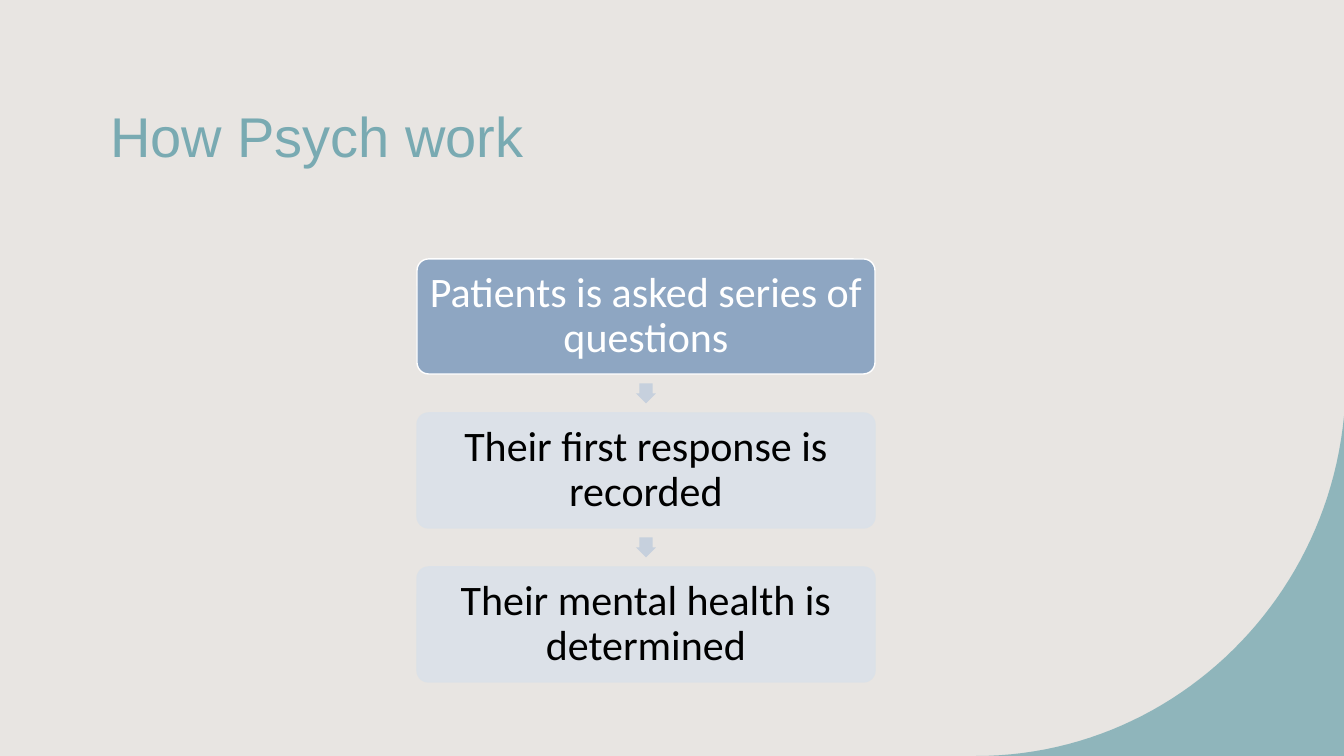
import pptx
import pptx.dml.color
import pptx.enum.shapes
import pptx.enum.text
import pptx.oxml
import pptx.oxml.ns
import pptx.util

SHAPES = pptx.enum.shapes.MSO_SHAPE
ALIGN = pptx.enum.text.PP_ALIGN
MIDDLE = pptx.enum.text.MSO_ANCHOR.MIDDLE

TITLE = "How Psych work"
# wording, fill, outline, text colour, opacity in percent
STEPS = [
    ("Patients is asked series of questions", "8EA6C2", "FFFFFF", "FFFFFF", 100),
    ("Their first response is recorded", "DBE1E9", "DBE1E9", "000000", 90),
    ("Their mental health is determined", "DBE1E9", "DBE1E9", "000000", 90),
]
BACKGROUND, TEAL, ARROW = "E8E5E2", "79AAB2", "C6D0DD"

SLIDE_W, SLIDE_H = 1344, 756
STEP_LEFT, STEP_TOP, STEP_W, STEP_H = 417, 259, 458, 115
STEP_PITCH, ARROW_SIZE = 154, 20
CORNER_CURVE = [(976, 756), (1167, 756), (1326, 607), (1344, 416)]
CURVE_PARTS = 48
EMU_PER_PX = 914400 / 100.8


def px(length):
    return pptx.util.Emu(round(length * EMU_PER_PX))


def rgb(colour):
    return pptx.dml.color.RGBColor.from_string(colour)


def paint(filling, colour, opacity=100):
    filling.solid()
    filling.fore_color.rgb = rgb(colour)
    if opacity < 100:
        solid = filling._xPr.find(pptx.oxml.ns.qn("a:solidFill"))
        alpha = pptx.oxml.parse_xml(
            f'<a:alpha {pptx.oxml.ns.nsdecls("a")} val="{opacity * 1000}"/>')
        solid[0].append(alpha)


def style_text(frame, text, font_name, size, colour, align):
    frame.text = text
    frame.word_wrap = True
    frame.vertical_anchor = MIDDLE
    paragraph = frame.paragraphs[0]
    paragraph.alignment = align
    paragraph.line_spacing = 0.9
    paragraph.font.name = font_name
    paragraph.font.size = pptx.util.Pt(size)
    paragraph.font.color.rgb = rgb(colour)


def curve_point(t):
    """Point of the cubic Bezier corner curve at t from 0 to 1."""
    weights = ((1 - t) ** 3, 3 * t * (1 - t) ** 2, 3 * t * t * (1 - t), t ** 3)
    return tuple(sum(w * point[axis] for w, point in zip(weights, CORNER_CURVE))
                 for axis in (0, 1))


def add_corner(slide):
    outline = [curve_point(i / CURVE_PARTS) for i in range(CURVE_PARTS + 1)]
    outline.append((SLIDE_W, SLIDE_H))
    builder = slide.shapes.build_freeform(*map(px, outline[0]), scale=1.0)
    builder.add_line_segments([(px(x), px(y)) for x, y in outline[1:]], close=True)
    corner = builder.convert_to_shape()
    corner.shadow.inherit = False
    paint(corner.fill, TEAL, 80)
    corner.line.fill.background()


def add_step(slide, top, text, fill, outline, text_colour, opacity):
    step = slide.shapes.add_shape(
        SHAPES.ROUNDED_RECTANGLE, px(STEP_LEFT), px(top), px(STEP_W), px(STEP_H))
    step.adjustments[0] = 0.1
    step.shadow.inherit = False
    paint(step.fill, fill, opacity)
    paint(step.line.fill, outline, opacity)
    step.line.width = pptx.util.Pt(1)
    frame = step.text_frame
    frame.margin_left = frame.margin_right = px(7)
    frame.margin_top = frame.margin_bottom = px(7)
    style_text(frame, text, "Calibri", 30, text_colour, ALIGN.CENTER)


def add_arrow(slide, step_top):
    left = STEP_LEFT + (STEP_W - ARROW_SIZE) / 2
    top = step_top - (STEP_PITCH - STEP_H + ARROW_SIZE) / 2
    arrow = slide.shapes.add_shape(
        SHAPES.RIGHT_ARROW, px(left), px(top), px(ARROW_SIZE), px(ARROW_SIZE))
    arrow.rotation = 90
    arrow.adjustments[0] = 0.67
    arrow.adjustments[1] = 0.5
    arrow.shadow.inherit = False
    paint(arrow.fill, ARROW)
    arrow.line.fill.background()


def main():
    deck = pptx.Presentation()
    deck.slide_width, deck.slide_height = px(SLIDE_W), px(SLIDE_H)
    slide = deck.slides.add_slide(deck.slide_layouts[5])
    paint(slide.background.fill, BACKGROUND)
    add_corner(slide)

    title = slide.shapes.title
    title.left, title.top, title.width, title.height = map(px, (100, 66, 1093, 146))
    style_text(title.text_frame, TITLE, "Arial", 40, TEAL, ALIGN.LEFT)

    for i, step in enumerate(STEPS):
        top = STEP_TOP + i * STEP_PITCH
        if i:
            add_arrow(slide, top)
        add_step(slide, top, *step)
    deck.save("out.pptx")


if __name__ == "__main__":
    main()
